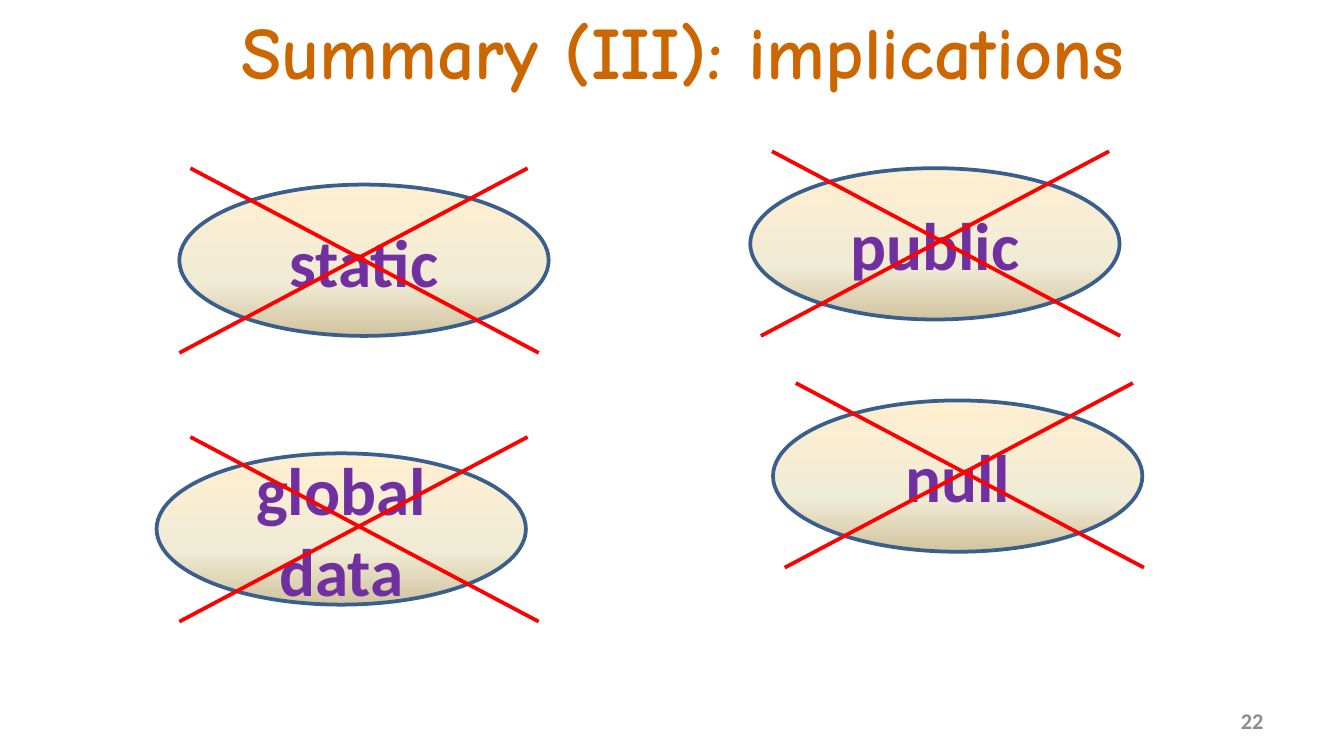
from copy import deepcopy
from dataclasses import dataclass

from pptx import Presentation
from pptx.dml import color
from pptx.enum import shapes, text
from pptx.oxml import ns
from pptx.util import Cm, Pt

OVAL_WIDTH, OVAL_HEIGHT = 6.98, 2.86
CROSS_WIDTH, CROSS_HEIGHT, CROSS_SHIFT = 6.58, 3.49, 0.21
GRADIENT = ((0, "FFEFD1"), (0.65, "F0EBD5"), (1, "D1C39F"))


@dataclass(frozen=True)
class BannedWord:
    label: str
    left: float
    top: float
    cross_left: float
    cross_top: float


WORDS = (
    BannedWord("public", 14.18, 3.18, 14.38, 2.86),
    BannedWord("static", 3.39, 3.49, 3.39, 3.18),
    BannedWord("global data", 2.96, 8.57, 3.39, 8.26),
    BannedWord("null", 14.61, 7.57, 14.83, 7.24),
)


def rgb(value: str) -> color.RGBColor:
    return color.RGBColor.from_string(value)


def write(box, content: str, size: float, font: str, ink: str, align) -> None:
    frame = box.text_frame
    settings = {
        "word_wrap": True,
        "auto_size": text.MSO_AUTO_SIZE.NONE,
        "vertical_anchor": text.MSO_ANCHOR.MIDDLE,
    }
    for name, value in settings.items():
        setattr(frame, name, value)
    para = frame.paragraphs[0]
    para.alignment = align
    span = para.add_run()
    span.text = content
    for name, value in {"size": Pt(size), "name": font, "bold": True}.items():
        setattr(span.font, name, value)
    span.font.color.rgb = rgb(ink)


def fill_gradient(shape) -> None:
    shape.fill.gradient()
    shape.fill.gradient_angle = 270
    stop_list = shape._element.spPr.find(".//" + ns.qn("a:gsLst"))
    stop_list.append(deepcopy(stop_list[-1]))
    for stop, (position, tint) in zip(shape.fill.gradient_stops, GRADIENT):
        stop.position = position
        stop.color.rgb = rgb(tint)


def draw_line(page, x1: float, y1: float, x2: float, y2: float) -> None:
    line = page.shapes.add_connector(
        shapes.MSO_CONNECTOR.STRAIGHT, Cm(x1), Cm(y1), Cm(x2), Cm(y2)
    )
    line.line.color.rgb = rgb("FF0000")
    line.line.width = Pt(2)
    properties = line._element.spPr
    properties.append(properties.makeelement(ns.qn("a:effectLst"), {}))


def draw_word(page, word: BannedWord) -> None:
    oval = page.shapes.add_shape(
        shapes.MSO_SHAPE.OVAL,
        Cm(word.left), Cm(word.top), Cm(OVAL_WIDTH), Cm(OVAL_HEIGHT),
    )
    oval.shadow.inherit = False
    fill_gradient(oval)
    oval.line.color.rgb = rgb("3A5F8C")
    oval.line.width = Pt(2)
    write(oval, word.label, 36, "Calibri", "7030A0", text.PP_ALIGN.CENTER)

    left, top = word.cross_left, word.cross_top
    right, bottom = left + CROSS_WIDTH, top + CROSS_HEIGHT
    draw_line(page, right, top, left, bottom)
    draw_line(page, right + CROSS_SHIFT, bottom, left + CROSS_SHIFT, top)


def main() -> None:
    deck = Presentation()
    deck.slide_width, deck.slide_height = Cm(25.4), Cm(14.29)
    page = deck.slides.add_slide(deck.slide_layouts[5])

    title = page.shapes.title
    place = {"left": 1.47, "top": 0.15, "width": 22.86, "height": 1.6}
    for name, value in place.items():
        setattr(title, name, Cm(value))
    write(title, "Summary (III): implications", 39.6, "Comic Neue", "CC6600",
          text.PP_ALIGN.CENTER)

    for word in WORDS:
        draw_word(page, word)

    number = page.shapes.add_textbox(Cm(18.2), Cm(13.24), Cm(5.93), Cm(0.76))
    write(number, "22", 12, "Calibri", "8C8C8C", text.PP_ALIGN.RIGHT)

    deck.save("out.pptx")


if __name__ == "__main__":
    main()
